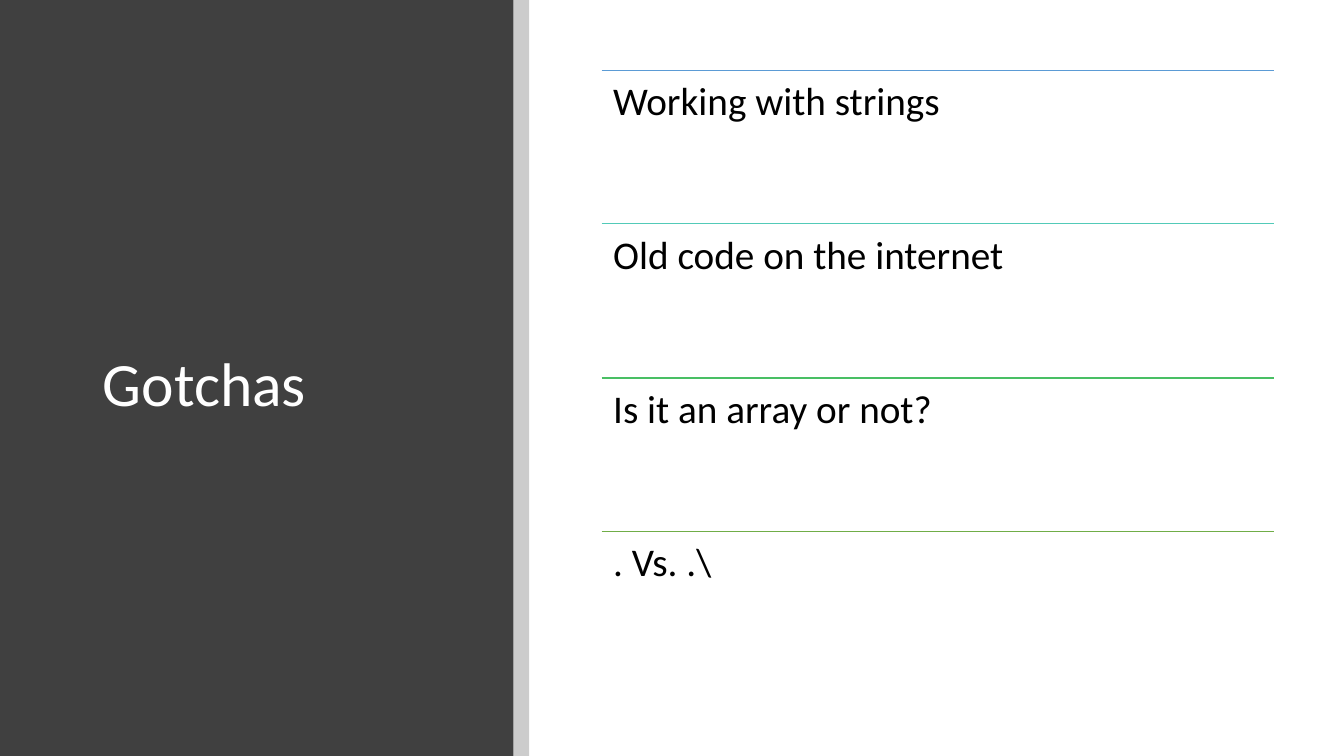
from pptx import Presentation
from pptx import util as u
from pptx.dml.color import RGBColor
from pptx.enum import shapes, text
from pptx.oxml.ns import qn
from lxml import etree

PX = 9525  # EMU per px, 96 px to the inch
WIDE, HIGH = 1280, 720

WHITE = RGBColor(0xFF, 0xFF, 0xFF)
BLACK = RGBColor(0x00, 0x00, 0x00)
DARK = RGBColor(0x40, 0x40, 0x40)
BLUE = RGBColor(0x5B, 0x9B, 0xD5)
TEAL = RGBColor(0x52, 0xCA, 0xB8)
GREEN = RGBColor(0x49, 0xBF, 0x64)
OLIVE = RGBColor(0x70, 0xAD, 0x47)

ROWS = [
    ("Working with strings", BLUE),
    ("Old code on the internet", TEAL),
    ("Is it an array or not?", GREEN),
    (". Vs. .\\", OLIVE),
]


class Page:
    font = "Calibri"
    lead = 0.9

    def __init__(self, slide):
        self.slide = slide

    def rect(self, x, y, w, h, color, alpha=None):
        box = self.slide.shapes.add_shape(
            shapes.MSO_SHAPE.RECTANGLE, x * PX, y * PX, w * PX, h * PX)
        box.shadow.inherit = False
        box.fill.solid()
        box.fill.fore_color.rgb = color
        box.line.fill.background()
        if alpha is not None:
            tint = box.fill._xPr.find(qn("a:solidFill"))[0]
            etree.SubElement(tint, qn("a:alpha")).set("val", str(alpha * 1000))

    def rule(self, x, y, w, color):
        line = self.slide.shapes.add_connector(
            shapes.MSO_CONNECTOR.STRAIGHT, x * PX, y * PX, (x + w) * PX, y * PX)
        line.line.color.rgb = color
        line.line.width = u.Pt(1)
        etree.SubElement(line._element.spPr, qn("a:effectLst"))

    def label(self, x, y, w, h, words, size, color, anchor, pad):
        box = self.slide.shapes.add_textbox(x * PX, y * PX, w * PX, h * PX)
        frame = box.text_frame
        frame.word_wrap = True
        frame.vertical_anchor = anchor
        frame.margin_left = frame.margin_right = pad[0] * PX
        frame.margin_top = frame.margin_bottom = pad[1] * PX
        para = frame.paragraphs[0]
        para.line_spacing = self.lead
        run = para.add_run()
        run.text = words
        run.font.name = self.font
        run.font.size = u.Pt(size)
        run.font.color.rgb = color


def main():
    deck = Presentation()
    deck.slide_width = WIDE * PX
    deck.slide_height = HIGH * PX
    page = Page(deck.slides.add_slide(deck.slide_layouts[6]))

    # Title panel and its edge strip
    page.rect(0, 0, 489, HIGH, DARK)
    page.label(88, 85, 350, 567, "Gotchas", 44, WHITE,
               text.MSO_ANCHOR.MIDDLE, (10, 5))
    page.rect(489, 0, 15, HIGH, BLACK, alpha=20)

    # Four equal rows, each under a colored rule
    left, top, width, height = 573, 67, 640, 586
    for i, (words, color) in enumerate(ROWS):
        y = top + height * i // len(ROWS)
        page.rule(left, y, width, color)
        page.label(left, y, width, height // len(ROWS), words, 28, BLACK,
                   text.MSO_ANCHOR.TOP, (11, 11))

    deck.save("out.pptx")


if __name__ == "__main__":
    main()
